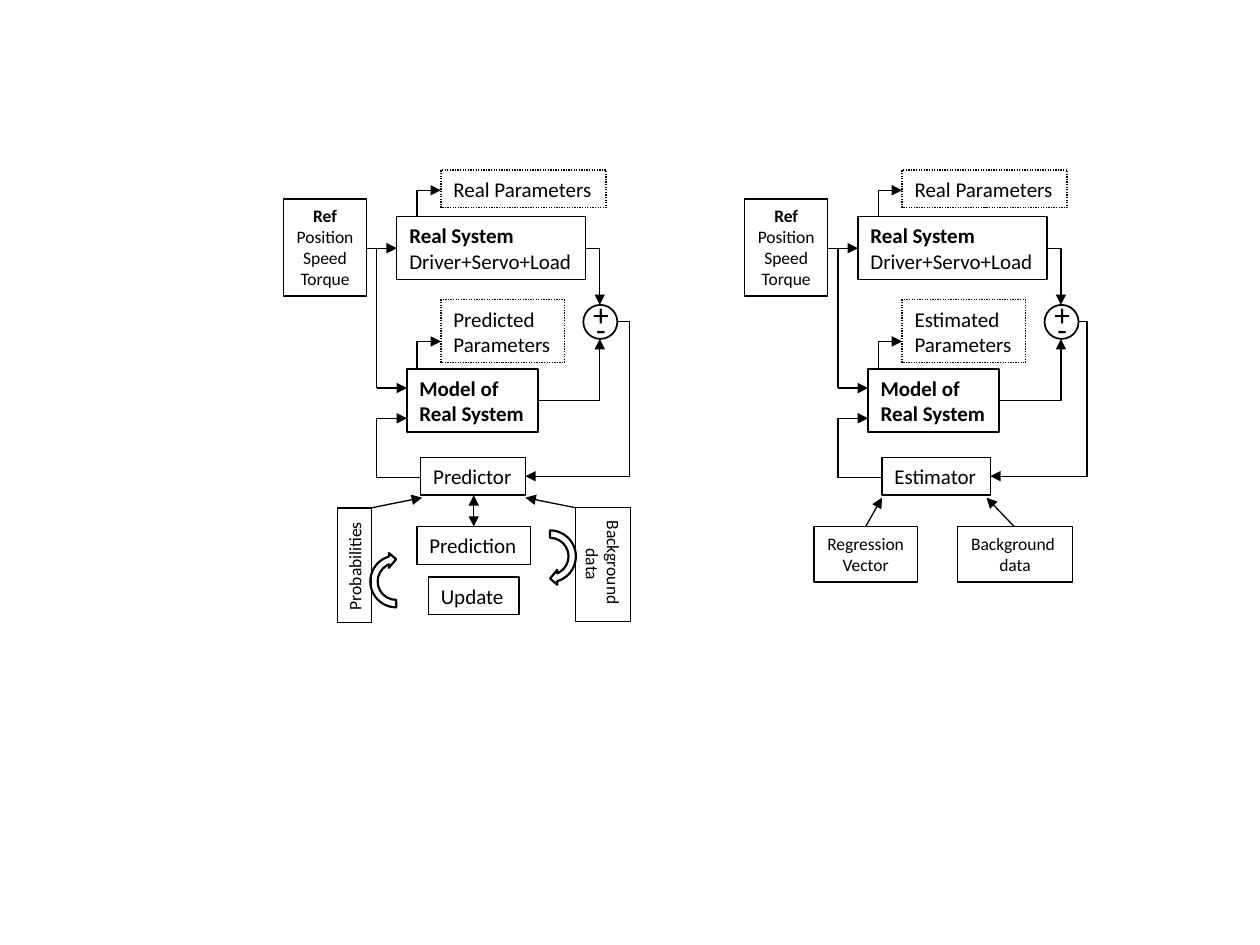
from dataclasses import dataclass
from typing import Optional

import pptx
import pptx.dml.color
import pptx.enum.dml
import pptx.enum.shapes
import pptx.enum.text
import pptx.oxml.ns
import pptx.oxml.xmlchemy
import pptx.util

Inches = pptx.util.Inches
Pt = pptx.util.Pt
SHAPE = pptx.enum.shapes.MSO_SHAPE
CONNECTOR = pptx.enum.shapes.MSO_CONNECTOR
qn = pptx.oxml.ns.qn
new_element = pptx.oxml.xmlchemy.OxmlElement
BLACK = "000000"
PANEL_STEP = 3.66


@dataclass(frozen=True)
class Box:
    x: float
    y: float
    w: float
    h: float
    lines: tuple[str, ...]
    size: int = 12
    bold: int = 0
    centred: bool = False
    dashed: bool = False
    outlined: bool = True
    rotation: int = 0


@dataclass(frozen=True)
class Link:
    x1: float
    y1: float
    x2: float
    y2: float
    arrows: tuple[str, ...] = ("tailEnd",)
    bend: Optional[str] = None
    adjust: Optional[int] = None


START, END, NONE = ("headEnd",), ("tailEnd",), ()
ONE_BEND, TWO_BENDS = "bentConnector2", "bentConnector3"


def rgb(value: str) -> pptx.dml.color.RGBColor:
    return pptx.dml.color.RGBColor.from_string(value)


def set_line(line, width: float) -> None:
    line.color.rgb = rgb(BLACK)
    line.width = Pt(width)


def draw_box(shapes, b: Box, dx: float) -> None:
    sp = shapes.add_textbox(Inches(b.x + dx), Inches(b.y), Inches(b.w), Inches(b.h))
    sp.rotation = b.rotation
    if b.outlined:
        set_line(sp.line, 0.75)
    if b.dashed:
        sp.line.dash_style = pptx.enum.dml.MSO_LINE.ROUND_DOT
    tf = sp.text_frame
    tf.word_wrap = False
    tf.auto_size = pptx.enum.text.MSO_AUTO_SIZE.SHAPE_TO_FIT_TEXT
    for i, text in enumerate(b.lines):
        p = tf.add_paragraph() if i else tf.paragraphs[0]
        if b.centred:
            p.alignment = pptx.enum.text.PP_ALIGN.CENTER
        r = p.add_run()
        r.text = text
        r.font.name = "Calibri"
        r.font.size = Pt(b.size)
        r.font.bold = i < b.bold
        r.font.color.rgb = rgb(BLACK)


def draw_link(shapes, k: Link, dx: float) -> None:
    kind = CONNECTOR.ELBOW if k.bend else CONNECTOR.STRAIGHT
    c = shapes.add_connector(kind, Inches(k.x1 + dx), Inches(k.y1),
                             Inches(k.x2 + dx), Inches(k.y2))
    set_line(c.line, 0.75)
    sp_pr = c._element.spPr
    geom = sp_pr.find(qn("a:prstGeom"))
    if k.bend:
        geom.set("prst", k.bend)
    if k.adjust is not None:
        gd = new_element("a:gd")
        gd.set("name", "adj1")
        gd.set("fmla", f"val {k.adjust}")
        geom.find(qn("a:avLst")).append(gd)
    for end in k.arrows:
        arrow = new_element(f"a:{end}")
        arrow.set("type", "triangle")
        sp_pr.find(qn("a:ln")).append(arrow)
    sp_pr.append(new_element("a:effectLst"))


def draw_outline(shapes, kind, x: float, y: float, size: float, width: float):
    sp = shapes.add_shape(kind, Inches(x), Inches(y), Inches(size), Inches(size))
    sp.shadow.inherit = False
    sp.fill.background()
    set_line(sp.line, width)
    return sp


def draw_cycle_arrow(shapes, x: float, y: float, rotation: int) -> None:
    sp = draw_outline(shapes, SHAPE.CIRCULAR_ARROW, x, y, 0.47, 1.25)
    for i, value in enumerate((0.125, 11.42, 150.58, 54, 0.125)):
        sp.adjustments[i] = value
    sp.rotation = rotation


def draw_sum(shapes, dx: float) -> None:
    grp = shapes.add_group_shape().shapes
    draw_box(grp, Box(4.61, 2.29, 0.22, 0.27, ("+",), 18, outlined=False), dx)
    draw_box(grp, Box(4.64, 2.41, 0.19, 0.27, ("-",), 18, outlined=False), dx)
    draw_outline(grp, SHAPE.OVAL, 4.63 + dx, 2.42, 0.27, 1)


COMMON_BOXES = (
    Box(2.25, 1.58, 0.66, 0.77, ("Ref", "Position", "Speed", "Torque"), 10, 1, True),
    Box(3.15, 1.72, 1.5, 0.5, ("Real System", "Driver+Servo+Load"), bold=1),
    Box(3.23, 2.93, 1.04, 0.5, ("Model of", "Real System"), bold=2),
    Box(3.5, 1.35, 1.31, 0.3, ("Real Parameters",), dashed=True),
)
COMMON_LINKS = (
    Link(2.91, 1.97, 3.15, 1.97),
    Link(4.65, 1.97, 4.76, 2.42, END, ONE_BEND),
    Link(4.27, 3.18, 4.76, 2.69, END, ONE_BEND),
    Link(3.5, 1.51, 3.31, 1.72, START, ONE_BEND),
    Link(3.5, 2.71, 3.31, 2.92, START, ONE_BEND),
    Link(2.99, 3.08, 3.23, 3.08),
    Link(2.99, 3.32, 3.23, 3.32),
    Link(2.99, 3.08, 2.99, 1.98, NONE),
    Link(2.99, 3.32, 2.99, 3.79, NONE),
    Link(2.99, 3.79, 3.34, 3.79, NONE),
)

PREDICTOR_BOXES = (
    Box(3.5, 2.38, 0.98, 0.5, ("Predicted", "Parameters"), dashed=True),
    Box(3.34, 3.63, 0.83, 0.3, ("Predictor",)),
    Box(3.4, 4.58, 0.72, 0.3, ("Update",)),
    Box(3.31, 4.18, 0.9, 0.3, ("Prediction",)),
    Box(2.36, 4.35, 0.91, 0.27, ("Probabilities",), 10, rotation=270),
    Box(4.33, 4.26, 0.91, 0.44, ("Background ", "data"), 10, centred=True, rotation=90),
)
PREDICTOR_LINKS = (
    Link(4.9, 2.55, 4.17, 3.78, END, TWO_BENDS, -12900),
    Link(3.76, 4.18, 3.76, 3.93, START + END),
    Link(2.95, 4.03, 3.35, 3.95),
    Link(4.57, 4.03, 4.17, 3.95),
)

ESTIMATOR_BOXES = (
    Box(3.5, 2.38, 0.98, 0.5, ("Estimated", "Parameters"), dashed=True),
    Box(3.34, 3.63, 0.86, 0.3, ("Estimator",)),
    Box(2.8, 4.18, 0.82, 0.44, ("Regression", "Vector"), 10, centred=True),
    Box(3.94, 4.18, 0.91, 0.44, ("Background ", "data"), 10, centred=True),
)
ESTIMATOR_LINKS = (
    Link(4.9, 2.55, 4.2, 3.78, END, TWO_BENDS, -9700),
    Link(3.21, 4.18, 3.34, 3.95),
    Link(4.39, 4.18, 4.17, 3.95),
)


def draw_panel(shapes, boxes: tuple[Box, ...], links: tuple[Link, ...], dx: float) -> None:
    for b in COMMON_BOXES + boxes:
        draw_box(shapes, b, dx)
    for k in COMMON_LINKS + links:
        draw_link(shapes, k, dx)
    draw_sum(shapes, dx)


def main() -> None:
    prs = pptx.Presentation()
    prs.slide_width, prs.slide_height = Inches(10), Inches(7.5)
    s = prs.slides.add_slide(prs.slide_layouts[6])
    draw_panel(s.shapes, PREDICTOR_BOXES, PREDICTOR_LINKS, 0)
    draw_cycle_arrow(s.shapes, 2.91, 4.38, 0)
    draw_cycle_arrow(s.shapes, 4.13, 4.18, 180)
    draw_panel(s.shapes, ESTIMATOR_BOXES, ESTIMATOR_LINKS, PANEL_STEP)
    prs.save("out.pptx")


if __name__ == "__main__":
    main()
